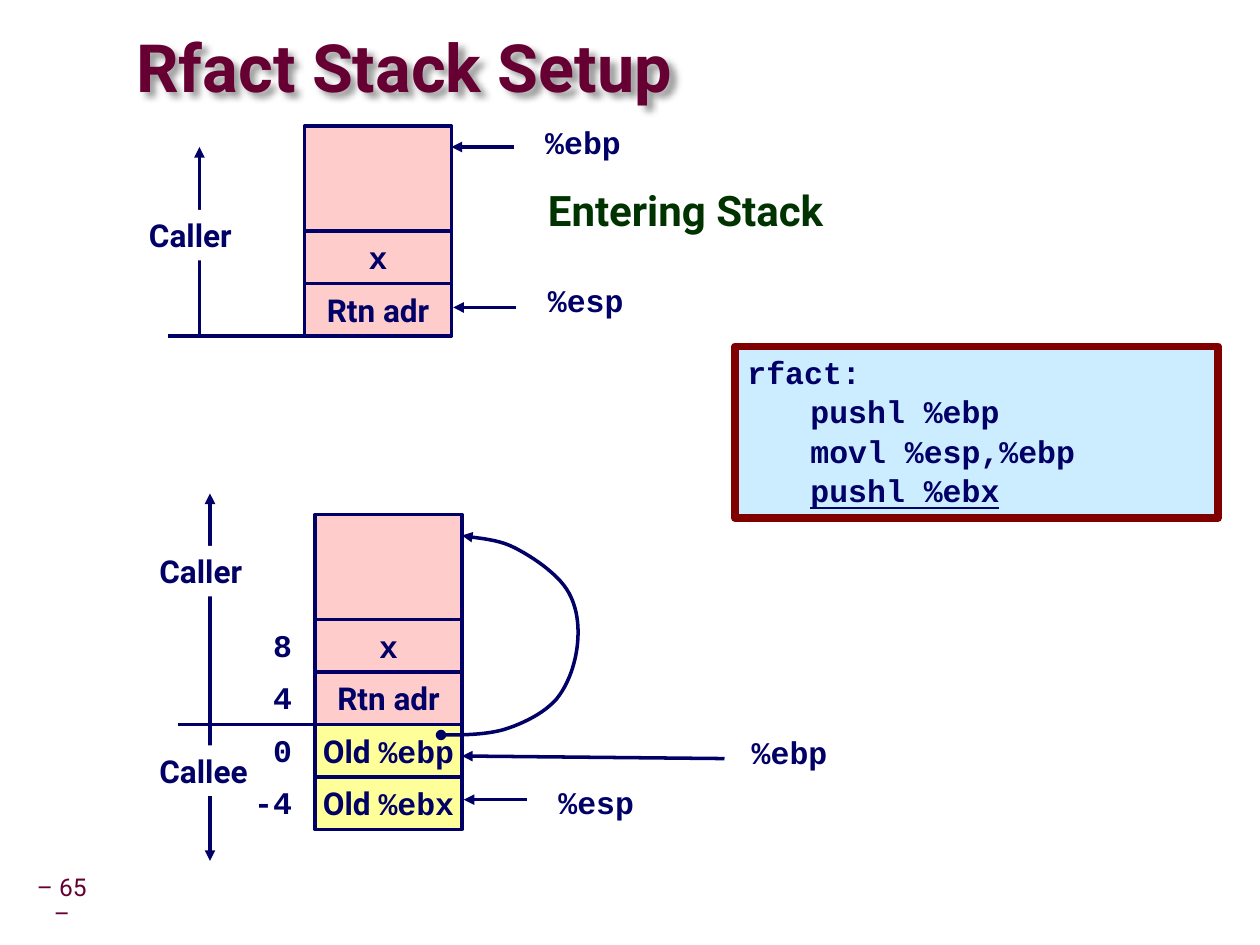
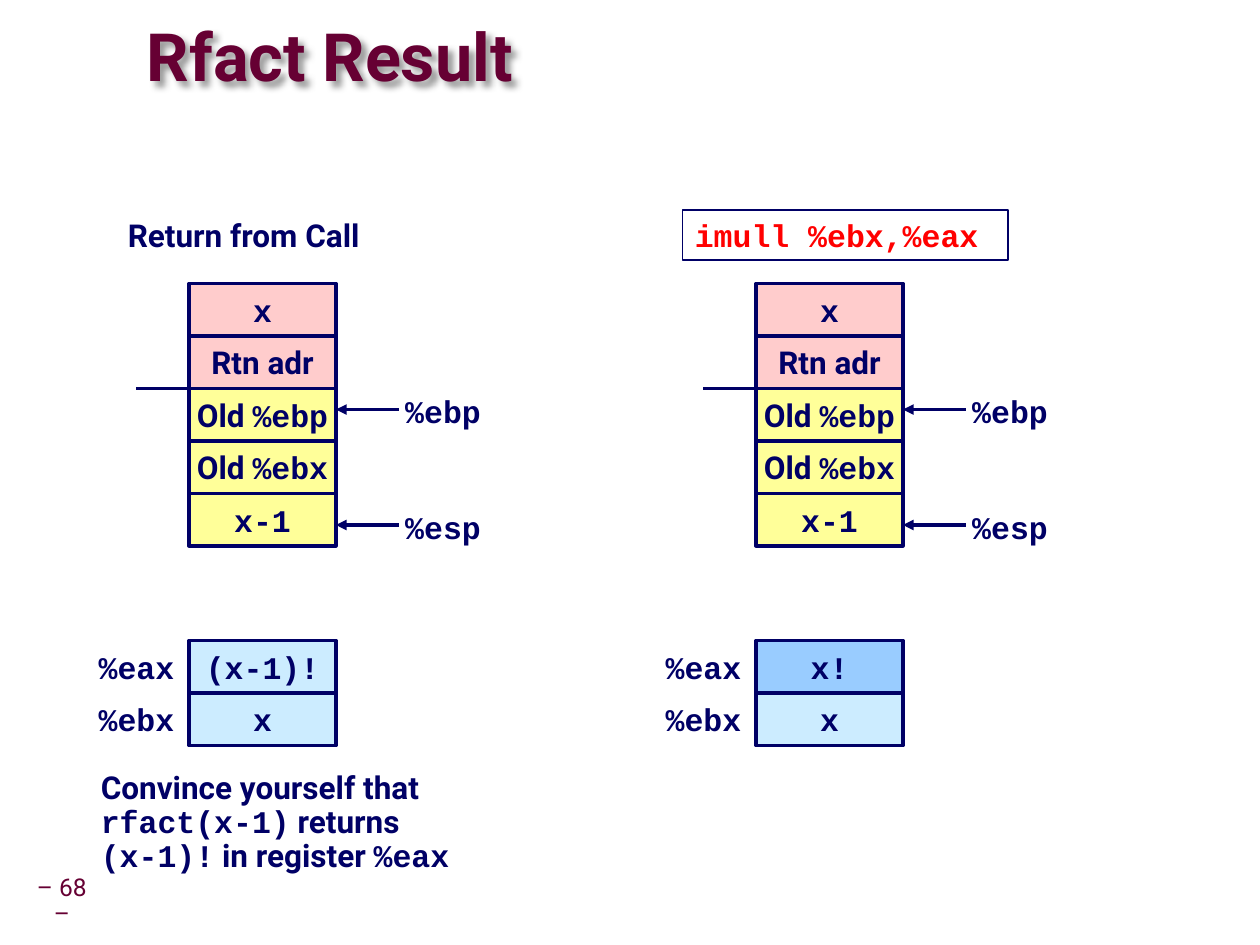
"""Builds two slides on the stack frames of the recursive factorial."""
from typing import NamedTuple

from lxml import etree
from pptx import Presentation
from pptx.dml.color import RGBColor
from pptx.enum.shapes import MSO_CONNECTOR, MSO_SHAPE
from pptx.enum.text import MSO_ANCHOR, MSO_AUTO_SIZE, PP_ALIGN
from pptx.oxml import parse_xml
from pptx.oxml.ns import qn
from pptx.util import Pt

RECT, STRAIGHT = MSO_SHAPE.RECTANGLE, MSO_CONNECTOR.STRAIGHT
LEFT, CENTER, RIGHT = PP_ALIGN.LEFT, PP_ALIGN.CENTER, PP_ALIGN.RIGHT
TOP, MIDDLE = MSO_ANCHOR.TOP, MSO_ANCHOR.MIDDLE
NO_AUTOFIT = MSO_AUTO_SIZE.NONE

NAVY = RGBColor(0x00, 0x00, 0x66)
MAROON = RGBColor(0x66, 0x00, 0x33)
DARK_RED = RGBColor(0x80, 0x00, 0x00)
RED = RGBColor(0xFF, 0x00, 0x00)
GREEN = RGBColor(0x00, 0x33, 0x00)
WHITE = RGBColor(0xFF, 0xFF, 0xFF)
PINK = RGBColor(0xFF, 0xCC, 0xCC)
YELLOW = RGBColor(0xFF, 0xFF, 0x99)
PALE_BLUE = RGBColor(0xCC, 0xEC, 0xFF)
BLUE = RGBColor(0x99, 0xCC, 0xFF)

SANS, MONO = "Roboto", "Courier New"
CELL_W, CELL_H = 84, 30
LABEL_H = 28.8
ARROW_LEN = 36
CURVE_STEPS = 12

TITLE_SHADOW = (
    '<a:effectLst xmlns:a="http://schemas.openxmlformats.org/drawingml/2006/main">'
    '<a:outerShdw blurRad="50800" dist="50800" dir="2700000" algn="tl">'
    '<a:srgbClr val="000000"><a:alpha val="40000"/></a:srgbClr>'
    '</a:outerShdw></a:effectLst>'
)


class Run(NamedTuple):
    """A stretch of text in one font."""
    text: str
    font: str = MONO


class Box(NamedTuple):
    """A rectangle in points."""
    x: float
    y: float
    w: float
    h: float


class Cell(NamedTuple):
    """One slot of a stack or register file."""
    runs: list[Run]
    fill: RGBColor
    rows: int = 1


class Result(NamedTuple):
    """A column of the result slide."""
    x: float
    eax: str
    eax_fill: RGBColor


ARGUMENT = Cell([Run("x")], PINK)
RETURN_ADDRESS = Cell([Run("Rtn adr", SANS)], PINK)
CALLER_FRAME = Cell([], PINK, 2)
OLD_EBP = Cell([Run("Old ", SANS), Run("%ebp")], YELLOW)
OLD_EBX = Cell([Run("Old ", SANS), Run("%ebx")], YELLOW)
CODE = ["pushl %ebp", "movl %esp,%ebp", "pushl %ebx"]
RESULTS = [Result(108, "(x-1)!", PALE_BLUE), Result(432, "x!", BLUE)]
LINK_START = (252, 420)
LINK_CURVES = [
    ((264, 420), (277, 420), (288, 416.9)),
    ((299, 413.5), (311, 407.5), (318, 399.5)),
    ((325, 391), (329, 378.5), (330, 368)),
    ((331, 358), (330, 346.5), (324, 337)),
    ((318, 327.5), (304, 318), (294, 313)),
    ((283.5, 307.5), (269.5, 307.5), (264, 306)),
]


def add_runs(p, runs: list[Run], size: float = 18, color=NAVY, bold: bool = True) -> None:
    """Append formatted runs to a paragraph."""
    for run in runs:
        r = p.add_run()
        r.text = run.text
        r.font.name, r.font.size, r.font.bold = run.font, Pt(size), bold
        r.font.color.rgb = color


def add_box(s, box: Box, runs: list[Run], fill=None, line=None, width: float = 2,
            align=LEFT, anchor=TOP, wrap: bool = False, size: float = 18,
            color=NAVY, bold: bool = True):
    """Draw a text box, or a rectangle when it has a fill or an outline."""
    place = [Pt(v) for v in box]
    if fill is None and line is None:
        sp = s.shapes.add_textbox(*place)
    else:
        sp = s.shapes.add_shape(RECT, *place)
        sp.shadow.inherit = False
        if fill is None:
            sp.fill.background()
        else:
            sp.fill.solid()
            sp.fill.fore_color.rgb = fill
        if line is None:
            sp.line.fill.background()
        else:
            sp.line.color.rgb, sp.line.width = line, Pt(width)
    tf = sp.text_frame
    tf.word_wrap, tf.vertical_anchor = wrap, anchor
    p = tf.paragraphs[0]
    p.alignment = align
    add_runs(p, runs, size, color, bold)
    return sp


def add_label(s, x: float, y: float, text: str, w: float = 58, font: str = MONO,
              **style) -> None:
    """Write a one-line label."""
    add_box(s, Box(x, y, w, LABEL_H), [Run(text, font)], **style)


def set_ends(sp, head: str, tail: str) -> None:
    """Set the end marks of a line."""
    ln = sp.line._get_or_add_ln()
    for tag, kind in (("a:headEnd", head), ("a:tailEnd", tail)):
        etree.SubElement(ln, qn(tag), type=kind)


def add_line(s, x1: float, y1: float, x2: float, y2: float, arrow: bool = False) -> None:
    """Draw a line, with an arrowhead at its end if asked."""
    c = s.shapes.add_connector(STRAIGHT, Pt(x1), Pt(y1), Pt(x2), Pt(y2))
    c.line.color.rgb, c.line.width = NAVY, Pt(2)
    if arrow:
        set_ends(c, "none", "triangle")
    etree.SubElement(c._element.spPr, qn("a:effectLst"))


def add_pointer(s, x: float, y: float, text: str, label_x: float, label_y: float) -> None:
    """Draw a register name and its arrow to the stack edge at x."""
    add_line(s, x + ARROW_LEN, y, x, y, arrow=True)
    add_label(s, label_x, label_y, text)


def add_stack(s, x: float, y: float, cells: list[Cell]) -> None:
    """Stack cells downwards from a top left corner."""
    for cell in cells:
        h = cell.rows * CELL_H
        add_box(s, Box(x, y, CELL_W, h), cell.runs, fill=cell.fill, line=NAVY,
                align=CENTER, anchor=MIDDLE)
        y += h


def bezier(p0, p1, p2, p3, t: float) -> tuple[int, int]:
    """Return the point at t on a cubic curve, in EMU."""
    u = 1 - t
    x, y = (u**3 * a + 3 * u * u * t * b + 3 * u * t * t * c + t**3 * d
            for a, b, c, d in zip(p0, p1, p2, p3))
    return Pt(x), Pt(y)


def add_saved_link(s) -> None:
    """Draw the curve from the saved %ebp to the caller frame."""
    points, start = [], LINK_START
    for c1, c2, end in LINK_CURVES:
        points += [bezier(start, c1, c2, end, i / CURVE_STEPS)
                   for i in range(1, CURVE_STEPS + 1)]
        start = end
    builder = s.shapes.build_freeform(*(Pt(v) for v in LINK_START))
    builder.add_line_segments(points, close=False)
    sp = builder.convert_to_shape()
    sp.shadow.inherit = False
    sp.fill.background()
    sp.line.color.rgb, sp.line.width = NAVY, Pt(2)
    set_ends(sp, "oval", "triangle")


def add_slide(prs, title: str, box: Box, number: int):
    """Add a slide with its title and page number."""
    s = prs.slides.add_slide(prs.slide_layouts[5])
    sp = s.shapes.title
    sp.left, sp.top, sp.width, sp.height = (Pt(v) for v in box)
    sp._element.spPr.append(parse_xml(TITLE_SHADOW))
    tf = sp.text_frame
    tf.auto_size, tf.vertical_anchor, tf.word_wrap = NO_AUTOFIT, MIDDLE, True
    tf.margin_left = tf.margin_right = tf.margin_top = tf.margin_bottom = 0
    p = tf.paragraphs[0]
    p.alignment, p.line_spacing = LEFT, 0.87
    add_runs(p, [Run(title, SANS)], 38, MAROON)
    page = add_box(s, Box(17.3, 504, 47.5, 22.3), [Run(f"– {number} –", SANS)],
                   align=CENTER, anchor=MIDDLE, wrap=True, size=14, color=MAROON,
                   bold=False)
    tf = page.text_frame
    tf.margin_left = tf.margin_top = tf.margin_bottom = Pt(3.6)
    tf.margin_right = Pt(15)
    tf.paragraphs[0].line_spacing = 0.9
    return s


def add_code(s) -> None:
    """Draw the framed listing with its last instruction underlined."""
    sp = add_box(s, Box(420, 198, 276, 98), [Run("rfact:")], fill=PALE_BLUE,
                 line=DARK_RED, width=4.5, wrap=True)
    tf = sp.text_frame
    for instruction in CODE:
        p = tf.add_paragraph()
        p.alignment, p.space_before = LEFT, Pt(1)
        p._p.get_or_add_pPr().set("marL", str(Pt(36)))
        add_runs(p, [Run(instruction)])
    tf.paragraphs[-1].runs[0].font.underline = True


def build_setup(prs) -> None:
    """Build the slide on entering rfact."""
    s = add_slide(prs, "Rfact Stack Setup", Box(78, 18, 440, 45.4), 65)
    add_label(s, 306, 102, "Entering Stack", 182, SANS, size=24, color=GREEN)

    add_stack(s, 174, 72, [CALLER_FRAME, ARGUMENT, RETURN_ADDRESS])
    add_line(s, 174, 192, 96, 192)
    add_line(s, 114, 192, 114, 84, arrow=True)
    add_label(s, 78, 120, "Caller", 65, SANS, fill=WHITE)
    add_pointer(s, 258, 84, "%ebp", 304.5, 66.5)
    add_pointer(s, 259, 175.7, "%esp", 306, 157)

    add_stack(s, 180, 294,
              [CALLER_FRAME, ARGUMENT, RETURN_ADDRESS, OLD_EBP, OLD_EBX])
    for i, offset in enumerate(("8", "4", "0", "-4")):
        add_label(s, 138, 354 + i * CELL_H, offset, 36, align=RIGHT)
    add_line(s, 180, 414, 102, 414)
    add_line(s, 120, 390, 120, 282, arrow=True)
    add_line(s, 120, 384, 120, 492, arrow=True)
    add_label(s, 84, 312, "Caller", 65, SANS, fill=WHITE)
    add_label(s, 84, 426, "Callee", 68, SANS, fill=WHITE)
    add_pointer(s, 265, 457, "%esp", 312, 444)
    add_line(s, 414, 433.5, 264, 432, arrow=True)
    add_label(s, 422.5, 415.5, "%ebp")
    add_saved_link(s)
    add_code(s)


def build_result(prs) -> None:
    """Build the slide on returning from the recursive call."""
    s = add_slide(prs, "Rfact Result", Box(84, 12, 406, 45.4), 68)
    for result in RESULTS:
        x = result.x
        add_stack(s, x, 162, [ARGUMENT, RETURN_ADDRESS, OLD_EBP, OLD_EBX,
                              Cell([Run("x-1")], YELLOW)])
        add_line(s, x - 30, 222, x, 222)
        for name, y in (("%ebp", 234), ("%esp", 300)):
            add_pointer(s, x + CELL_W, y, name, x + 116.5, y - 13.5)
        add_stack(s, x, 366, [Cell([Run(result.eax)], result.eax_fill),
                              Cell([Run("x")], PALE_BLUE)])
        for i, name in enumerate(("%eax", "%ebx")):
            add_box(s, Box(x - 54, 366 + i * CELL_H, 48, CELL_H), [Run(name)],
                    fill=WHITE, align=CENTER, anchor=MIDDLE)

    add_label(s, 66, 120, "Return from Call", 168, SANS, wrap=True)
    add_label(s, 390, 120, "imull %ebx,%eax", 186, line=NAVY, width=1, wrap=True,
              color=RED)
    note = add_box(s, Box(54, 438, 240, 66),
                   [Run("Convince yourself that ", SANS), Run("rfact(x-1)"),
                    Run(" returns ", SANS), Run("(x-1)!"),
                    Run(" in register ", SANS), Run("%eax")], wrap=True)
    tf = note.text_frame
    tf.margin_left = tf.margin_right = Pt(3.6)
    tf.paragraphs[0].line_spacing = 0.9


def main() -> None:
    """Build and save the presentation."""
    prs = Presentation()
    prs.slide_width, prs.slide_height = Pt(720), Pt(540)
    build_setup(prs)
    build_result(prs)
    prs.save("out.pptx")


if __name__ == "__main__":
    main()
